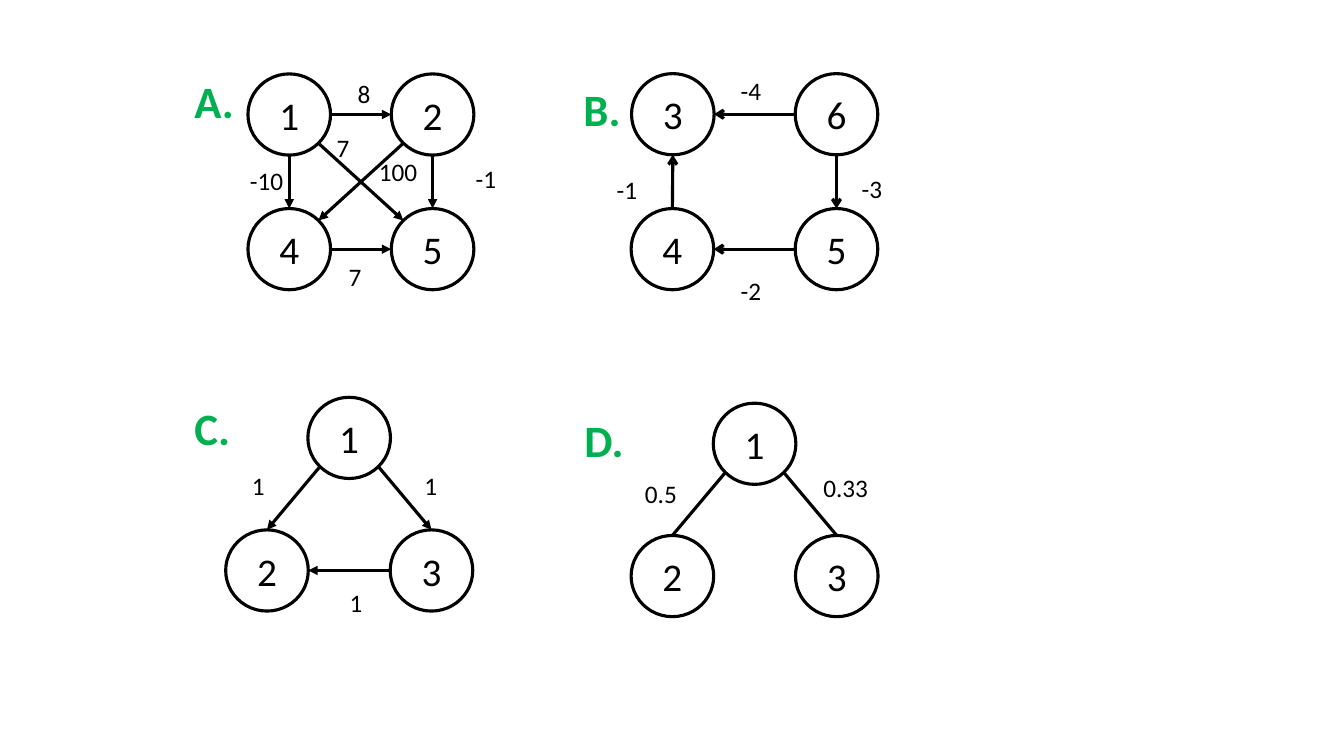
from math import cos, radians, sin

from lxml import etree
from pptx import Presentation
from pptx.dml.color import RGBColor
from pptx.enum import shapes, text
from pptx.oxml.ns import qn
from pptx.util import Pt

FONT = "Calibri"
BLACK, GREEN = "000000", "00B050"
NODE_W, NODE_H = 59, 58
LINE_W = 2.25
ANGLES = {"right": 0, "lower right": 45, "bottom": 90, "lower left": 135,
          "left": 180, "top left": 225, "top": 270, "top right": 315}

# nodes: number -> centre
# edges: start, its side, end, its side
# weights: text, left, top, width
GRAPHS = [
    {
        "title": ("A.", 131.8, 49, 45.4),
        "arrowhead": "triangle",
        "nodes": {1: (206.6, 81.8), 2: (309, 81.8), 4: (206.6, 178), 5: (309, 178)},
        "edges": [
            (1, "right", 2, "left"),
            (1, "lower right", 5, "top left"),
            (2, "lower left", 4, "top right"),
            (1, "bottom", 4, "top"),
            (4, "right", 5, "left"),
            (2, "bottom", 5, "top"),
        ],
        "weights": [
            ("8", 248.4, 52.6, 44.6), ("7", 233.3, 90.7, 30.2), ("100", 263.5, 108, 44.6),
            ("-10", 171.4, 114.5, 44.6), ("7", 241.9, 182.9, 44.6), ("-1", 332.6, 113, 44.6),
        ],
    },
    {
        "title": ("B.", 409.7, 54.7, 42.5),
        "arrowhead": "arrow",
        "nodes": {3: (480.6, 81.6), 6: (597.5, 81.6), 4: (480.3, 178), 5: (597.5, 178)},
        "edges": [
            (6, "left", 3, "right"),
            (6, "bottom", 5, "top"),
            (5, "left", 4, "right"),
            (4, "top", 3, "bottom"),
        ],
        "weights": [
            ("-4", 522, 50.4, 44.6), ("-3", 608.4, 120.2, 44.6),
            ("-2", 522, 193, 44.6), ("-1", 433.4, 121, 44.6),
        ],
    },
    {
        "title": ("C.", 131.8, 283, 45.4),
        "arrowhead": "triangle",
        "nodes": {1: (249.4, 312.8), 2: (190.7, 407.5), 3: (308.2, 407.5)},
        "edges": [
            (1, "lower left", 2, "top"),
            (1, "lower right", 3, "top"),
            (3, "left", 2, "right"),
        ],
        "weights": [
            ("1", 172.8, 332.6, 27.4), ("1", 296, 332.6, 27.4), ("1", 242.6, 416.2, 27.4),
        ],
    },
    {
        "title": ("D.", 410.4, 290.9, 45.4),
        "arrowhead": None,
        "nodes": {1: (539, 317), 2: (480.3, 411.5), 3: (597.7, 411.5)},
        "edges": [
            (1, "lower left", 2, "top"),
            (1, "lower right", 3, "top"),
        ],
        "weights": [("0.5", 453.6, 338.4, 41), ("0.33", 581, 334, 57.6)],
    },
]


def color(hex_value):
    return RGBColor.from_string(hex_value)


def set_font(paragraph, size, hex_value, bold=False):
    font = paragraph.font
    font.name, font.size, font.bold = FONT, Pt(size), bold
    font.color.rgb = color(hex_value)


def add_node(slide, number, centre):
    x, y = centre
    node = slide.shapes.add_shape(shapes.MSO_SHAPE.OVAL, Pt(x - NODE_W / 2), Pt(y - NODE_H / 2),
                                  Pt(NODE_W), Pt(NODE_H))
    node.shadow.inherit = False
    node.fill.background()
    node.line.color.rgb = color(BLACK)
    node.line.width = Pt(LINE_W)
    frame = node.text_frame
    frame.vertical_anchor = text.MSO_ANCHOR.MIDDLE
    paragraph = frame.paragraphs[0]
    paragraph.text = str(number)
    paragraph.alignment = text.PP_ALIGN.CENTER
    set_font(paragraph, 28, BLACK)


def rim_point(centre, side):
    """Point on a node's outline, as lengths."""
    angle = radians(ANGLES[side])
    return (Pt(centre[0] + NODE_W / 2 * cos(angle)),
            Pt(centre[1] + NODE_H / 2 * sin(angle)))


def add_edge(slide, start, end, arrowhead):
    edge = slide.shapes.add_connector(shapes.MSO_CONNECTOR.STRAIGHT, *start, *end)
    edge.line.color.rgb = color(BLACK)
    edge.line.width = Pt(LINE_W)
    properties = edge.element.spPr
    if arrowhead:
        etree.SubElement(properties.find(qn("a:ln")), qn("a:tailEnd"), type=arrowhead)
    etree.SubElement(properties, qn("a:effectLst"))


def add_label(slide, label, left, top, width, height, size, hex_value, bold=False):
    box = slide.shapes.add_textbox(Pt(left), Pt(top), Pt(width), Pt(height))
    box.text_frame.word_wrap = True
    paragraph = box.text_frame.paragraphs[0]
    paragraph.text = label
    set_font(paragraph, size, hex_value, bold)


def add_graph(slide, graph):
    nodes = graph["nodes"]
    add_label(slide, *graph["title"], 46, 32, GREEN, bold=True)
    for number, centre in nodes.items():
        add_node(slide, number, centre)
    for start, start_side, end, end_side in graph["edges"]:
        add_edge(slide, rim_point(nodes[start], start_side),
                 rim_point(nodes[end], end_side), graph["arrowhead"])
    for weight in graph["weights"]:
        add_label(slide, *weight, 29, 18, BLACK)


def main():
    deck = Presentation()
    deck.slide_width, deck.slide_height = Pt(960), Pt(540)
    slide = deck.slides.add_slide(deck.slide_layouts[6])
    for graph in GRAPHS:
        add_graph(slide, graph)
    deck.save("out.pptx")


if __name__ == "__main__":
    main()
